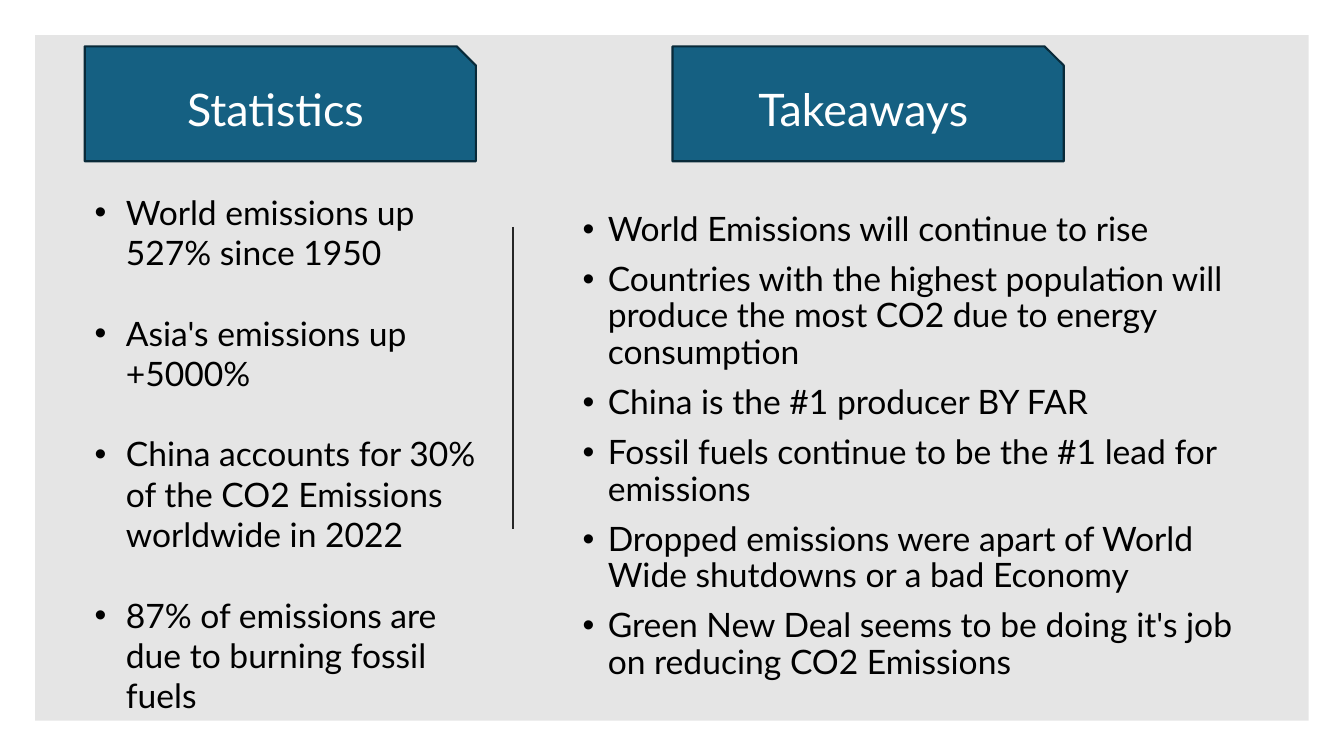
from lxml import etree
from pptx import Presentation
from pptx import util as u
from pptx.dml.color import RGBColor
from pptx.enum import shapes, text
from pptx.oxml.ns import qn

PX = 9144  # EMU per px, 100 px to the inch
COLORS = {
    "panel": "000000",
    "banner": "156082",
    "banner_line": "092A39",
    "divider": "262626",
    "body": "000000",
    "heading": "FFFFFF",
}


def color(name):
    return RGBColor.from_string(COLORS[name])


def write(shape, lines, size=24, ink="body", align=text.PP_ALIGN.LEFT,
          anchor=text.MSO_ANCHOR.TOP, indent=0, spacing=1, before=0, after=0):
    """Fill a shape with one paragraph per line, bulleted if indent (px) is set."""
    frame = shape.text_frame
    frame.word_wrap = True
    frame.vertical_anchor = anchor
    for i, line in enumerate(lines):
        paragraph = frame.add_paragraph() if i else frame.paragraphs[0]
        paragraph.alignment = align
        paragraph.line_spacing = spacing
        paragraph.space_before = u.Pt(before)
        paragraph.space_after = u.Pt(after)
        if indent:
            properties = paragraph._p.get_or_add_pPr()
            properties.set("marL", str(indent * PX))
            properties.set("indent", str(-indent * PX))
            etree.SubElement(properties, qn("a:buFont"), typeface="Arial")
            etree.SubElement(properties, qn("a:buChar"), char="•")
        run = paragraph.add_run()
        run.text = line
        run.font.name = "Lato"
        run.font.size = u.Pt(size)
        run.font.color.rgb = color(ink)


presentation = Presentation()
presentation.slide_width = 1333 * PX
presentation.slide_height = 750 * PX
slide = presentation.slides.add_slide(presentation.slide_layouts[6])

# Translucent panel
panel = slide.shapes.add_shape(
    shapes.MSO_SHAPE.RECTANGLE, 35 * PX, 35 * PX, 1263 * PX, 680 * PX)
panel.shadow.inherit = False
panel.fill.solid()
panel.fill.fore_color.rgb = color("panel")
panel.line.fill.background()
panel_color = panel._element.spPr.find(qn("a:solidFill"))[0]
etree.SubElement(panel_color, qn("a:alpha"), val="10000")

# Divider between the columns
divider = slide.shapes.add_connector(
    shapes.MSO_CONNECTOR.STRAIGHT, 509 * PX, 225 * PX, 509 * PX, 525 * PX)
divider.line.color.rgb = color("divider")
divider.line.width = u.Pt(1.5)
etree.SubElement(divider._element.spPr, qn("a:effectLst"))

# Bulleted columns
takeaways = slide.shapes.add_textbox(568 * PX, 185 * PX, 684 * PX, 496 * PX)
write(takeaways, [
    "World Emissions will continue to rise",
    "Countries with the highest population will produce the most CO2 due to energy consumption",
    "China is the #1 producer BY FAR",
    "Fossil fuels continue to be the #1 lead for emissions",
    "Dropped emissions were apart of World Wide shutdowns or a bad Economy",
    "Green New Deal seems to be doing it's job on reducing CO2 Emissions",
], anchor=text.MSO_ANCHOR.BOTTOM, indent=25, spacing=0.9, before=10)

statistics = slide.shapes.add_textbox(84 * PX, 185 * PX, 412 * PX, 565 * PX)
write(statistics, [
    "World emissions up 527% since 1950",
    "Asia's emissions up +5000%",
    "China accounts for 30% of the CO2 Emissions worldwide in 2022",
    "87% of emissions are due to burning fossil fuels",
], indent=31, after=28.8)

# Column headings
for heading, left in (("Statistics", 84), ("Takeaways", 667)):
    banner = slide.shapes.add_shape(
        shapes.MSO_SHAPE.SNIP_1_RECTANGLE, left * PX, 46 * PX, 388 * PX, 114 * PX)
    banner.shadow.inherit = False
    banner.fill.solid()
    banner.fill.fore_color.rgb = color("banner")
    banner.line.color.rgb = color("banner_line")
    banner.line.width = u.Pt(1.5)
    write(banner, [heading], size=32, ink="heading",
          align=text.PP_ALIGN.CENTER, anchor=text.MSO_ANCHOR.MIDDLE)

presentation.save("out.pptx")
